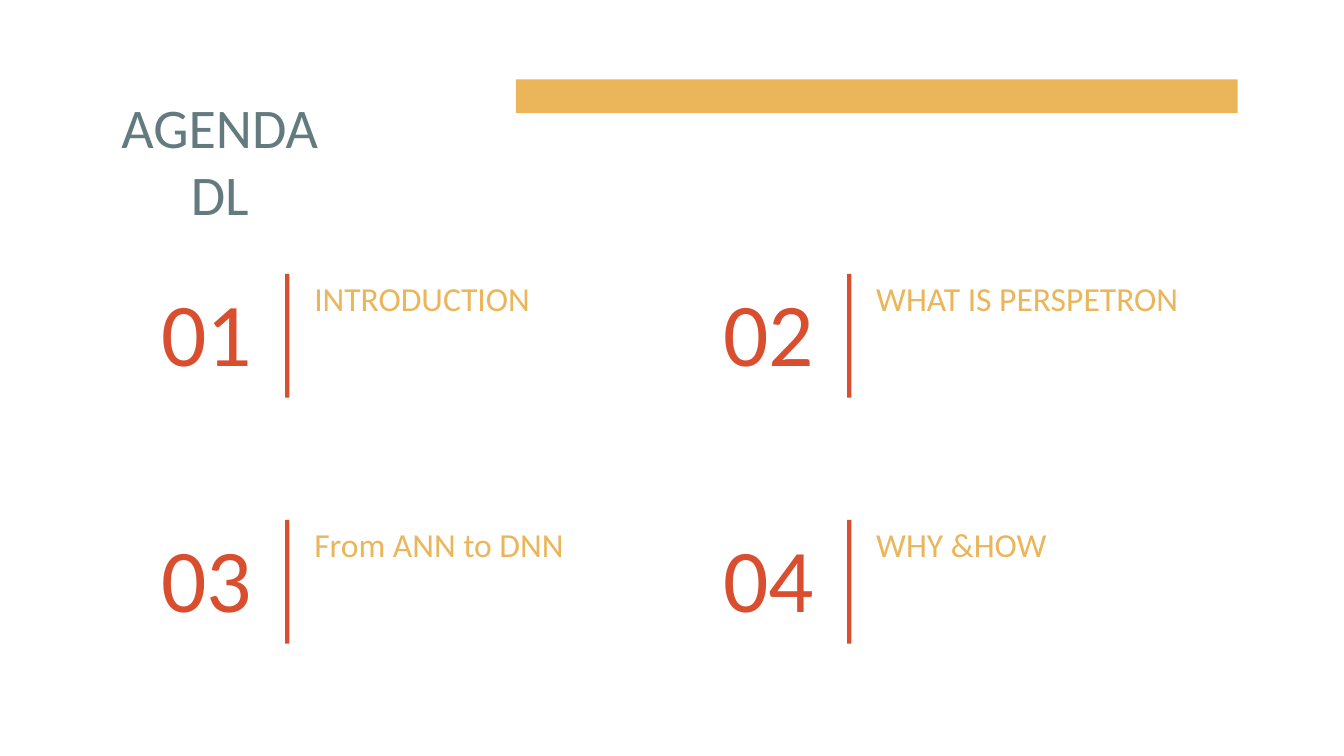
from pptx import Presentation
from pptx.dml.color import RGBColor
from pptx.enum.shapes import MSO_SHAPE
from pptx.enum.text import MSO_ANCHOR, PP_ALIGN
from pptx.util import Cm, Pt

SLATE, RED, GOLD = "637B7F", "D84E2E", "EBB55A"

deck = Presentation()
deck.slide_width, deck.slide_height = Cm(25.4), Cm(14.29)
slide = deck.slides.add_slide(deck.slide_layouts[6])


def add_bar(left, top, width, height, color):
    bar = slide.shapes.add_shape(
        MSO_SHAPE.RECTANGLE, Cm(left), Cm(top), Cm(width), Cm(height))
    bar.shadow.inherit = False
    bar.fill.solid()
    bar.fill.fore_color.rgb = RGBColor.from_string(color)
    bar.line.fill.background()


def add_text(lines, left, top, width, height, size, color,
             align=PP_ALIGN.LEFT, anchor=MSO_ANCHOR.TOP):
    """Add a text box of one paragraph, with breaks between its lines."""
    box = slide.shapes.add_textbox(Cm(left), Cm(top), Cm(width), Cm(height))
    frame = box.text_frame
    frame.word_wrap = True
    frame.vertical_anchor = anchor
    frame.margin_left = frame.margin_right = Cm(0.25)
    frame.margin_top = frame.margin_bottom = Cm(0.25)
    paragraph = frame.paragraphs[0]
    paragraph.alignment = align
    for index, line in enumerate(lines):
        if index:
            paragraph.add_line_break()
        run = paragraph.add_run()
        run.text = line
        run.font.name = "Calibri"
        run.font.size = Pt(size)
        run.font.color.rgb = RGBColor.from_string(color)
    return paragraph


add_bar(9.75, 1.5, 13.64, 0.64, GOLD)
add_text(["AGENDA", "DL"], 0, 1.5, 8.31, 1.6, 30, SLATE, PP_ALIGN.CENTER)

# Agenda items, row by row in two columns
topics = [
    ("INTRODUCTION", 7.01, 0.94),
    ("WHAT IS PERSPETRON", 8.15, 0.81),
    ("From ANN to DNN", 7.01, 0.94),
    ("WHY &HOW", 7.01, 0.94),
]
for index, (topic, width, height) in enumerate(topics):
    row, column = divmod(index, 2)
    left = 2.44 + column * 10.62
    top = 5.18 + row * 4.65
    add_text([f"{index + 1:02}"], left, top, 2.57, 2.34, 48, RED,
             PP_ALIGN.RIGHT, MSO_ANCHOR.BOTTOM)
    topic_line = add_text([topic], left + 3.25, top - 0.18, width, height, 18, GOLD)
    topic_line.space_after = Pt(16)
    add_bar(left + 2.95, top, 0.08, 2.34, RED)

deck.save("out.pptx")
